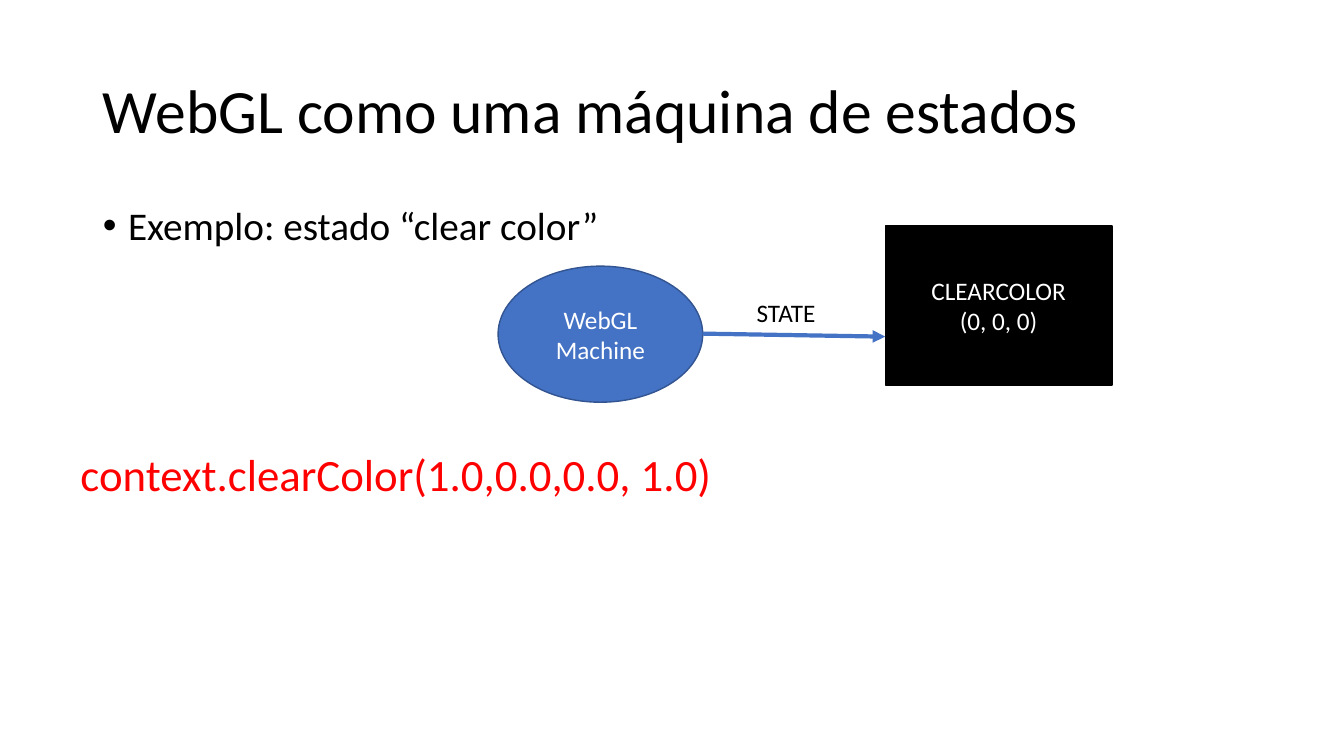
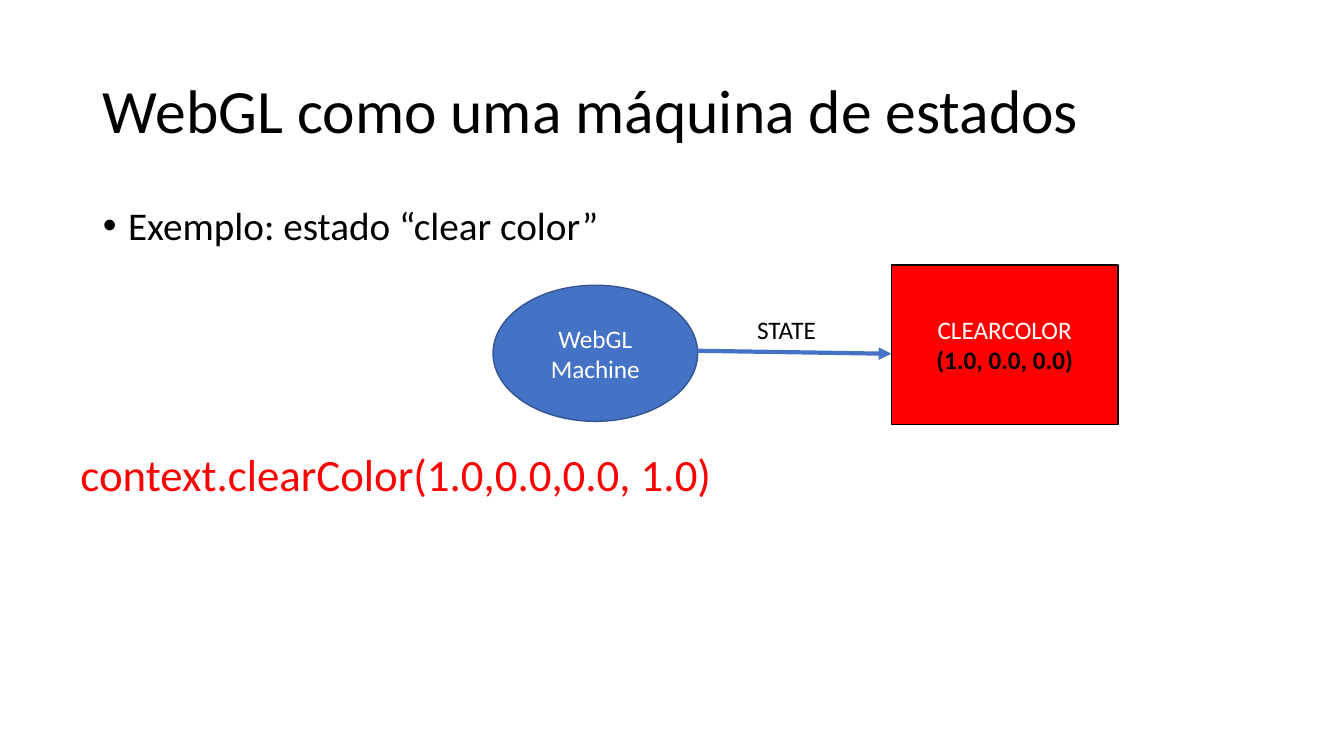
from lxml import etree
from pptx import Presentation
from pptx.dml.color import RGBColor
from pptx.enum.shapes import MSO_CONNECTOR, MSO_SHAPE
from pptx.enum.text import MSO_ANCHOR, MSO_AUTO_SIZE, PP_ALIGN
from pptx.oxml.ns import qn
from pptx.util import Inches, Pt

RECT, OVAL = MSO_SHAPE.RECTANGLE, MSO_SHAPE.OVAL
LINE = MSO_CONNECTOR.STRAIGHT
TOP, MID = MSO_ANCHOR.TOP, MSO_ANCHOR.MIDDLE
LEFT, MIDST = PP_ALIGN.LEFT, PP_ALIGN.CENTER
NONE, GROW = MSO_AUTO_SIZE.NONE, MSO_AUTO_SIZE.SHAPE_TO_FIT_TEXT

WIDE, HIGH = 13.33, 7.5
INKS = {"black": "000000", "white": "FFFFFF", "red": "FF0000",
        "blue": "4472C4", "navy": "325491"}
FACE = "Calibri"
HEAD = (0.92, 0.4, 11.5, 1.45)
BODY = (0.92, 2, 11.5, 4.76)
CODE = (0.7, 4.38, 6.87, 0.64)
ORB = (2.03, 1.35)
CARD = (2.25, 1.58)
TAG = (0.79, 0.4)

STATES = [
    {"box": (4.94, 2.24, 6.09), "drop": 0.4, "wire": 1.07, "fill": "black",
     "value": "(0, 0, 0)", "style": {}},
    {"box": (4.89, 2.63, 6.2), "drop": 0.2, "wire": 0.85, "fill": "red",
     "value": "(1.0, 0.0, 0.0)", "style": {"ink": "black", "bold": True}},
]


def ink(name):
    return RGBColor.from_string(INKS[name])


def apply(item, values):
    for name, value in values.items():
        setattr(item, name, value)


def place(shape, box):
    names = ("left", "top", "width", "height")
    apply(shape, dict(zip(names, map(Inches, box))))


def write(shape, lines, size, color="black", frame=None, para=None):
    text = shape.text_frame
    apply(text, {"word_wrap": True, "auto_size": NONE,
                 "vertical_anchor": TOP} | (frame or {}))
    for num, (words, style) in enumerate(lines):
        part = text.paragraphs[0] if num == 0 else text.add_paragraph()
        apply(part, {"alignment": LEFT} | (para or {}))
        run = part.add_run()
        run.text = words
        apply(run.font, {"name": FACE, "size": Pt(size),
                         "bold": style.get("bold", False)})
        run.font.color.rgb = ink(style.get("ink", color))


def base(deck):
    slide = deck.slides.add_slide(deck.slide_layouts[1])
    head, body = slide.placeholders
    place(head, HEAD)
    write(head, [("WebGL como uma máquina de estados", {})], 44,
          frame={"vertical_anchor": MID}, para={"line_spacing": 0.9})
    place(body, BODY)
    write(body, [("Exemplo: estado “clear color”", {})], 28,
          para={"line_spacing": 0.9, "space_before": Pt(10)})
    props = body.text_frame.paragraphs[0]._p.get_or_add_pPr()
    props.set("marL", str(Inches(0.25)))
    props.set("indent", str(-Inches(0.25)))
    return slide


def label(slide, box, words, size, color="black", wrap=True):
    shape = slide.shapes.add_textbox(*map(Inches, box))
    write(shape, [(words, {})], size, color,
          {"word_wrap": wrap, "auto_size": GROW})


def node(slide, kind, box, fill, edge, lines):
    shape = slide.shapes.add_shape(kind, *map(Inches, box))
    shape.shadow.inherit = False
    shape.fill.solid()
    shape.fill.fore_color.rgb = ink(fill)
    shape.line.color.rgb = ink(edge)
    shape.line.width = Pt(1)
    write(shape, lines, 18, "white", {"vertical_anchor": MID},
          {"alignment": MIDST})


def arrow(slide, start, end):
    wire = slide.shapes.add_connector(LINE, *map(Inches, start + end))
    wire.line.color.rgb = ink("blue")
    wire.line.width = Pt(3)
    etree.SubElement(wire.line._get_or_add_ln(), qn("a:tailEnd"),
                     type="triangle")
    etree.SubElement(wire._element.spPr, qn("a:effectLst"))


def flow(slide, box, drop, wire, fill, value, style):
    left, top, width = box
    start, end = left + ORB[0], left + width - CARD[0]
    level = top + wire
    node(slide, RECT, (end, top, *CARD), fill, "black",
         [("CLEARCOLOR", {}), (value, style)])
    node(slide, OVAL, (left, top + drop, *ORB), "blue", "navy",
         [("WebGL Machine", {})])
    arrow(slide, (start, level), (end, level + 0.03))
    label(slide, ((start + end) / 2 - 0.47, level - 0.41, *TAG),
          "STATE", 18, wrap=False)


def main():
    deck = Presentation()
    apply(deck, {"slide_width": Inches(WIDE), "slide_height": Inches(HIGH)})
    for state in STATES:
        slide = base(deck)
        label(slide, CODE, "context.clearColor(1.0,0.0,0.0, 1.0)", 32, "red")
        flow(slide, **state)
    deck.save("out.pptx")


if __name__ == "__main__":
    main()
